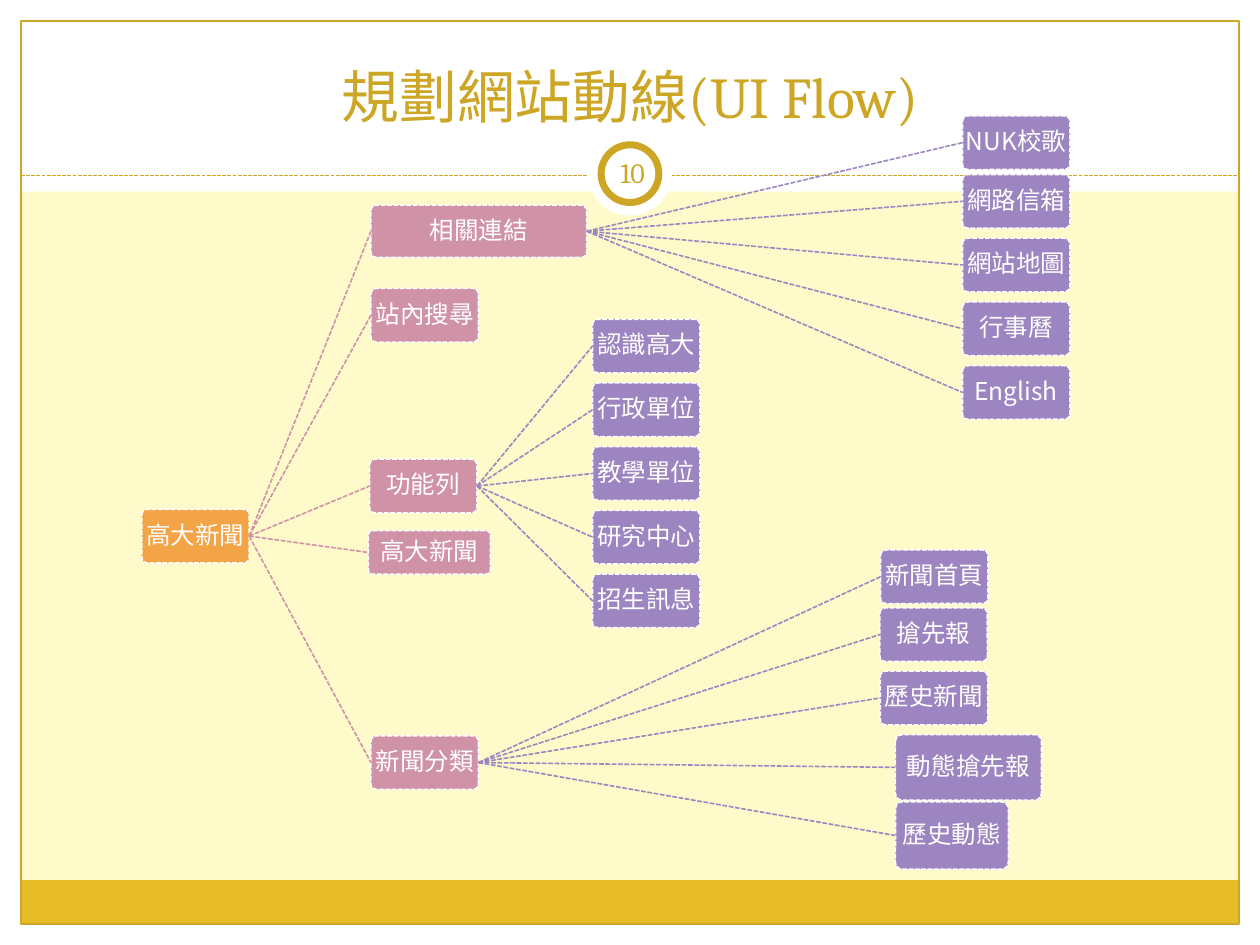
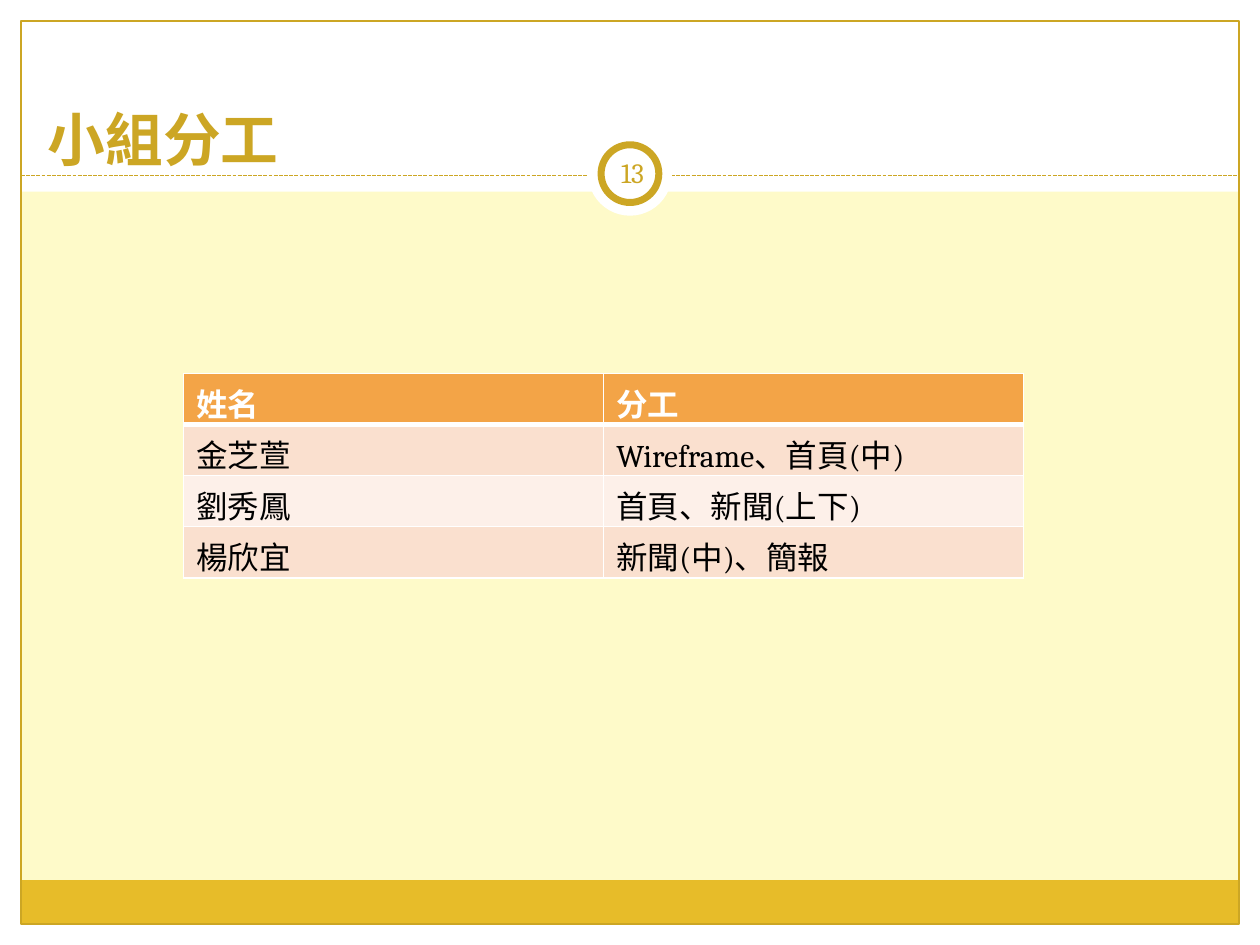
from dataclasses import dataclass

import pptx
import pptx.util
import pptx.dml.color
import pptx.enum.dml
import pptx.enum.shapes
import pptx.enum.text
import pptx.oxml
import pptx.oxml.ns

Pt = pptx.util.Pt
RGB = pptx.dml.color.RGBColor.from_string
Kind = pptx.enum.shapes.MSO_SHAPE
Anchor = pptx.enum.text.MSO_ANCHOR
Align = pptx.enum.text.PP_ALIGN
DASH = pptx.enum.dml.MSO_LINE.SQUARE_DOT


@dataclass(frozen=True)
class Theme:
    cream: object = RGB("FEFAC9")
    white: object = RGB("FFFFFF")
    black: object = RGB("000000")
    gold: object = RGB("CCA624")
    footer: object = RGB("E7BC29")
    root: object = RGB("F3A447")
    branch: object = RGB("D092A7")
    leaf: object = RGB("9C85C0")
    row_dark: object = RGB("FAE0CF")
    row_light: object = RGB("FDF0E9")
    font: str = "Cambria"
    node_font: str = "Noto Sans CJK SC"
    bold_title_font: str = "Times New Roman"
    title_size: object = Pt(33)
    table_size: object = Pt(18)
    number_size: object = Pt(16)
    node_size: object = Pt(14)


T = Theme()


def add_block(s, kind, box, fill=None, line=None, width=0.75):
    sp = s.shapes.add_shape(kind, *map(Pt, box))
    sp.shadow.inherit = False
    if fill is None:
        sp.fill.background()
    else:
        sp.fill.solid()
        sp.fill.fore_color.rgb = fill
    if line is None:
        sp.line.fill.background()
    else:
        sp.line.color.rgb = line
        sp.line.width = Pt(width)
    return sp


def add_dashed_line(s, color, width, ends=(0, 0, 0, 0)):
    line = s.shapes.add_connector(pptx.enum.shapes.MSO_CONNECTOR.STRAIGHT, *map(Pt, ends))
    line.line.color.rgb = color
    line.line.width = Pt(width)
    line.line.dash_style = DASH
    line._element.spPr.append(pptx.oxml.parse_xml(
        f'<a:effectLst {pptx.oxml.ns.nsdecls("a")}/>'))
    return line


prs = pptx.Presentation()
prs.slide_width, prs.slide_height = Pt(720), Pt(540)
layout = prs.slide_layouts[5]
layout.background.fill.solid()
layout.background.fill.fore_color.rgb = T.cream
flow = prs.slides.add_slide(layout)
team = prs.slides.add_slide(layout)

# Shared frame: drawn once, then moved to the layout
frame = [
    add_block(flow, Kind.RECTANGLE, box, T.white)
    for box in [(0, 528, 720, 12), (0, 0, 720, 109.5), (0, 0, 12, 540), (708, 0, 12, 540)]
]
frame += [
    add_block(flow, Kind.RECTANGLE, (11.75, 503, 696, 25), T.footer),
    add_block(flow, Kind.RECTANGLE, (12, 12, 696, 516), line=T.gold),
    add_dashed_line(flow, T.gold, 0.75, (12, 100.5, 708, 100.5)),
    add_block(flow, Kind.OVAL, (336, 75.25, 48, 48), T.white),
    add_block(flow, Kind.OVAL, (343.5, 82.75, 33, 33), T.white, T.gold, 4),
]
for shape_id, sp in enumerate(frame, start=101):
    sp._element.xpath(".//p:cNvPr")[0].set("id", str(shape_id))
    layout.shapes._spTree.append(sp._element)

# Titles and page numbers
pages = [
    (flow, "規劃網站動線(UI Flow)", (24, 18, 672, 60), Align.CENTER, T.font, False, "10"),
    (team, "小組分工", (20, 3.5, 672, 99), Align.LEFT, T.bold_title_font, True, "13"),
]
for s, title, box, align, font, bold, number in pages:
    sp = s.shapes.title
    sp.left, sp.top, sp.width, sp.height = map(Pt, box)
    tf = sp.text_frame
    tf.text = title
    tf.auto_size = pptx.enum.text.MSO_AUTO_SIZE.NONE
    tf.vertical_anchor = Anchor.BOTTOM
    title_p = tf.paragraphs[0]
    title_p.alignment = align
    title_p.font.bold = bold

    tf = s.shapes.add_textbox(Pt(343.5), Pt(81), Pt(36), Pt(34.5)).text_frame
    tf.text = number
    tf.word_wrap = True
    tf.vertical_anchor = Anchor.MIDDLE
    tf.margin_left = tf.margin_right = tf.margin_top = tf.margin_bottom = Pt(3.6)
    number_p = tf.paragraphs[0]
    number_p.alignment = Align.CENTER

    for p, name, size in [(title_p, font, T.title_size), (number_p, T.font, T.number_size)]:
        p.font.name = name
        p.font.size = size
        p.font.color.rgb = T.gold

# Site tree: every node is (name, text, left, top, width, height, parent)
W, H, STEP = 61.4, 30.7, 36.4
nodes = [
    ("root", "高大新聞", 81, 291, W, H, None),
    ("links", "相關連結", 212, 117.2, 123.3, 29.9, "root"),
    ("search", "站內搜尋", 212, 164.8, W, H, "root"),
    ("menu", "功能列", 211.2, 262.4, W, H, "root"),
    ("news", "高大新聞", 210.5, 303.2, 69.8, 25, "root"),
    ("topics", "新聞分類", 212, 420.4, W, H, "root"),
    ("song", "NUK校歌", 550, 66.2, W, H, "links"),
    ("headlines", "新聞首頁", 503.2, 314.2, W, H, "topics"),
    ("scoop", "搶先報", 502.8, 347.3, W, H, "topics"),
    ("archive", "歷史新聞", 503, 383.5, W, H, "topics"),
    ("live", "動態搶先報", 511.7, 419.8, 83.4, 37.4, "topics"),
    ("past", "歷史動態", 511.7, 458.2, 64.5, 38.5, "topics"),
]
columns = [
    ("links", 550, 99.7, ["網路信箱", "網站地圖", "行事曆", "English"]),
    ("menu", 338.6, 182.4, ["認識高大", "行政單位", "教學單位", "研究中心", "招生訊息"]),
]
for parent, left, top, texts in columns:
    for i, text in enumerate(texts):
        nodes.append((text, text, left, top + i * STEP, W, H, parent))

placed = {}
for name, text, left, top, width, height, parent in nodes:
    color = T.root if parent is None else T.branch if parent == "root" else T.leaf
    sp = add_block(flow, Kind.ROUNDED_RECTANGLE, (left, top, width, height), color, T.white, 0.9)
    sp.line.dash_style = DASH
    sp.adjustments[0] = 0.1
    tf = sp.text_frame
    tf.text = text
    tf.word_wrap = True
    tf.vertical_anchor = Anchor.MIDDLE
    tf.margin_left = tf.margin_right = tf.margin_top = tf.margin_bottom = Pt(1)
    p = tf.paragraphs[0]
    p.alignment = Align.CENTER
    p.line_spacing = 0.9
    p.font.name = T.node_font
    p.font.size = T.node_size
    p.font.color.rgb = T.white
    placed[name] = sp
    if parent:
        link = add_dashed_line(flow, color, 0.9)
        link.begin_connect(placed[parent], 3)
        link.end_connect(sp, 1)

# Division of work
duties = [
    ("姓名", "分工"),
    ("金芝萱", "Wireframe、首頁(中)"),
    ("劉秀鳳", "首頁、新聞(上下)"),
    ("楊欣宜", "新聞(中)、簡報"),
]
table = team.shapes.add_table(4, 2, Pt(105), Pt(213.4), Pt(480), Pt(116.8)).table
for row, texts in enumerate(duties):
    header = row == 0
    fill = T.root if header else T.row_dark if row % 2 else T.row_light
    widths = {"L": 1, "R": 1, "T": 3 if row == 1 else 1, "B": 3 if header else 1}
    for col, text in enumerate(texts):
        cell = table.cell(row, col)
        cell.text = text
        tcPr = cell._tc.get_or_add_tcPr()
        for side, width in widths.items():
            tcPr.append(pptx.oxml.parse_xml(
                f'<a:ln{side} {pptx.oxml.ns.nsdecls("a")} w="{Pt(width)}"><a:solidFill>'
                f'<a:srgbClr val="{T.white}"/></a:solidFill></a:ln{side}>'))
        cell.fill.solid()
        cell.fill.fore_color.rgb = fill
        font = cell.text_frame.paragraphs[0].font
        font.name = T.font
        font.size = T.table_size
        font.bold = header
        font.color.rgb = T.white if header else T.black

prs.save("out.pptx")
